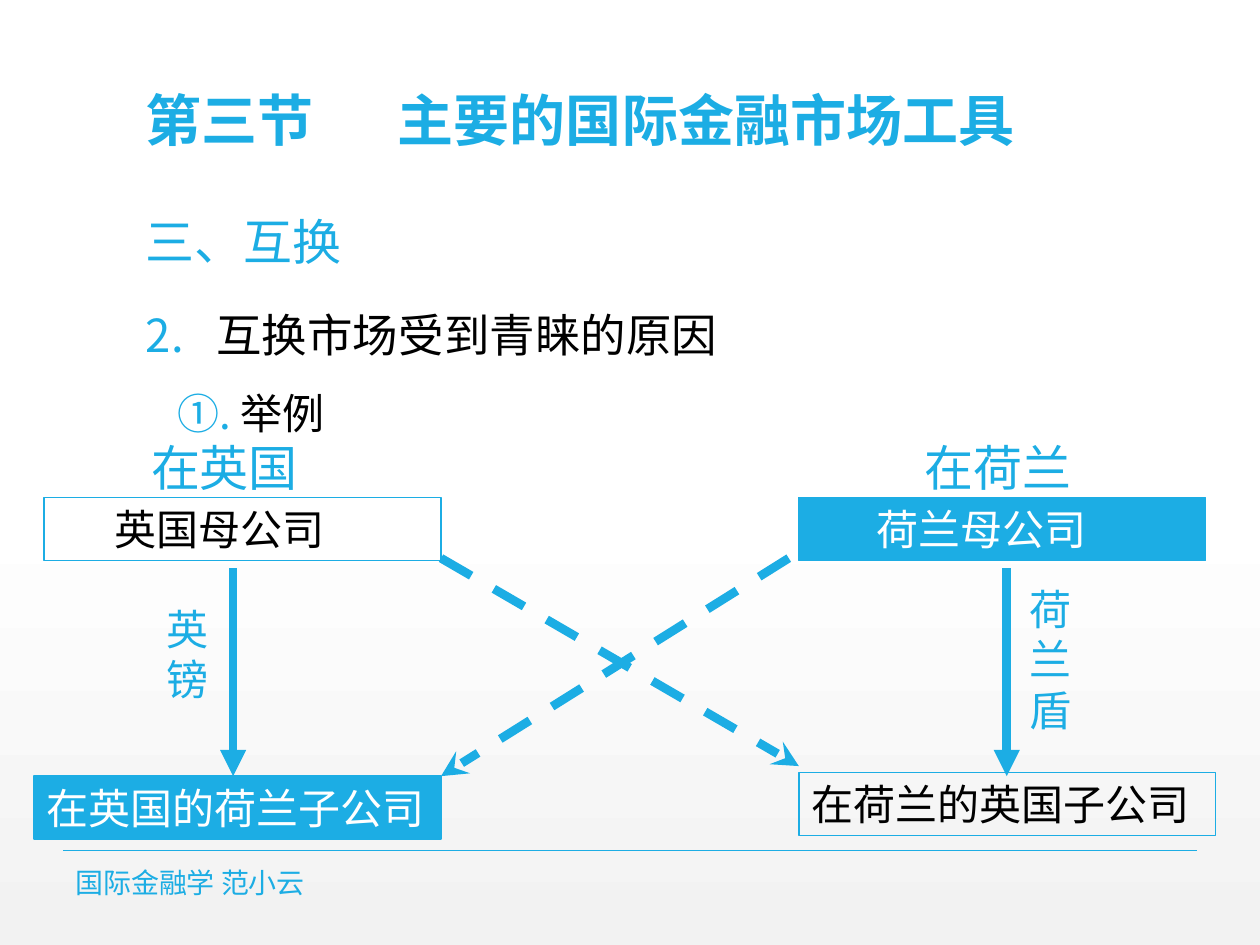
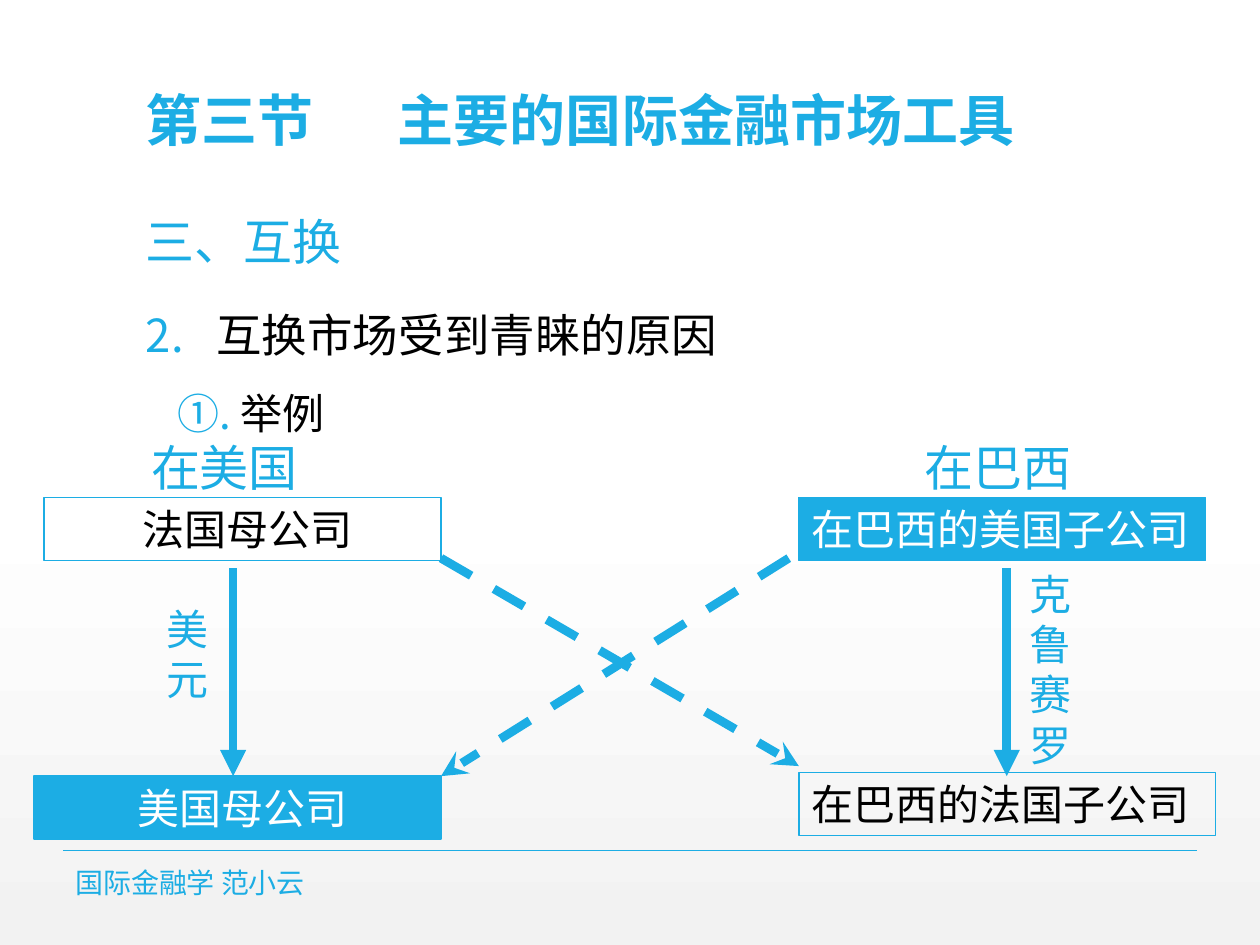
from dataclasses import dataclass

from lxml import etree
from pptx import Presentation
from pptx.dml.color import RGBColor
from pptx.enum.dml import MSO_LINE
from pptx.enum.shapes import MSO_CONNECTOR, MSO_SHAPE
from pptx.enum.text import MSO_ANCHOR, PP_ALIGN
from pptx.oxml.ns import qn
from pptx.util import Pt

TOP, MIDDLE, BOTTOM = MSO_ANCHOR.TOP, MSO_ANCHOR.MIDDLE, MSO_ANCHOR.BOTTOM
LEFT, CENTER = PP_ALIGN.LEFT, PP_ALIGN.CENTER
STRAIGHT, RECTANGLE, DASH = MSO_CONNECTOR.STRAIGHT, MSO_SHAPE.RECTANGLE, MSO_LINE.DASH
EMU_PER_PX = 9144  # 100 px to the inch


@dataclass(frozen=True)
class Theme:
    accent: str = "1CADE4"
    ink: str = "000000"
    white: str = "FFFFFF"
    shade: str = "F2F2F2"
    title_font: str = "Arial"
    body_font: str = "Noto Sans CJK SC"
    title: int = 32
    heading: int = 28
    point: int = 26
    label: int = 24
    footer: int = 16


def px(length):
    return length * EMU_PER_PX


def add_child(parent, tag, **attributes):
    return etree.SubElement(parent, qn(tag), attributes)


class Deck:
    def __init__(self, theme):
        self.theme = theme
        self.prs = Presentation()
        self.prs.slide_width, self.prs.slide_height = px(1000), px(750)
        self.slide = None

    def new_slide(self):
        self.slide = self.prs.slides.add_slide(self.prs.slide_layouts[6])
        fill = self.slide.background.fill
        fill.gradient()
        fill.gradient_angle = 270
        stops = zip(fill.gradient_stops, (0.53, 1), (self.theme.white, self.theme.shade))
        for stop, position, color in stops:
            stop.position = position
            stop.color.rgb = RGBColor.from_string(color)

    def add_text(self, paragraph, text, size, color, font=None, bold=False):
        run = paragraph.add_run()
        run.text = text
        run.font.size = Pt(size)
        run.font.bold = bold
        run.font.color.rgb = RGBColor.from_string(color)
        run.font.name = font or self.theme.body_font
        add_child(run._r.get_or_add_rPr(), "a:ea", typeface=self.theme.body_font)

    def text_box(self, x, y, width, height, anchor=TOP):
        box = self.slide.shapes.add_textbox(px(x), px(y), px(width), px(height))
        box.text_frame.word_wrap = True
        box.text_frame.vertical_anchor = anchor
        return box.text_frame

    def label(self, text, x, y, width, height, size, anchor=TOP):
        frame = self.text_box(x, y, width, height, anchor)
        self.add_text(frame.paragraphs[0], text, size, self.theme.accent)

    def title(self, section, topic):
        paragraph = self.text_box(106, 2, 788, 125, BOTTOM).paragraphs[0]
        tabs = add_child(paragraph._p.get_or_add_pPr(), "a:tabLst")
        add_child(tabs, "a:tab", pos=str(px(200)), algn="l")
        paragraph.line_spacing = 0.9
        self.add_text(paragraph, f"{section}\t{topic}", self.theme.title,
                      self.theme.accent, self.theme.title_font, True)

    def numbered(self, frame, text, size, scheme, start, margin, hanging, before):
        paragraph = frame.add_paragraph()
        properties = paragraph._p.get_or_add_pPr()
        properties.set("marL", str(px(margin)))
        properties.set("indent", str(-px(hanging)))
        add_child(add_child(properties, "a:buClr"), "a:srgbClr", val=self.theme.accent)
        add_child(properties, "a:buAutoNum", type=scheme, startAt=str(start))
        paragraph.line_spacing = 1.1
        paragraph.space_before = Pt(before)
        self.add_text(paragraph, text, size, self.theme.ink)

    def company(self, text, x, y, width, filled, anchor=MIDDLE, align=LEFT, indent=0):
        theme = self.theme
        box = self.slide.shapes.add_shape(RECTANGLE, px(x), px(y), px(width), px(50))
        box.shadow.inherit = False
        box.line.color.rgb = RGBColor.from_string(theme.accent)
        box.line.width = Pt(0.75)
        if filled:
            box.fill.solid()
            box.fill.fore_color.rgb = RGBColor.from_string(theme.accent)
        else:
            box.fill.background()
        frame = box.text_frame
        frame.word_wrap = True
        frame.vertical_anchor = anchor
        paragraph = frame.paragraphs[0]
        paragraph.alignment = align
        properties = paragraph._p.get_or_add_pPr()
        properties.set("marL", str(px(indent)))
        properties.set("indent", "0")
        self.add_text(paragraph, text, theme.label, theme.white if filled else theme.ink)

    def line(self, start, end, width, head=None, dashed=False):
        connector = self.slide.shapes.add_connector(
            STRAIGHT, *(px(value) for value in (*start, *end)))
        connector.line.color.rgb = RGBColor.from_string(self.theme.accent)
        connector.line.width = Pt(width)
        if dashed:
            connector.line.dash_style = DASH
        properties = connector._element.spPr
        if head:
            add_child(properties.find(qn("a:ln")), "a:tailEnd", type=head)
        add_child(properties, "a:effectLst")

    def frame(self):
        """Title, outline and footer found on every slide."""
        theme = self.theme
        self.line((50, 675), (950, 675), 1)
        self.title("第三节", "主要的国际金融市场工具")
        outline = self.text_box(106, 158, 788, 530)
        outline.paragraphs[0].line_spacing = 1.1
        self.add_text(outline.paragraphs[0], "三、互换", theme.heading, theme.accent)
        self.numbered(outline, "互换市场受到青睐的原因", theme.point,
                      "arabicPeriod", 2, 56, 56, 18)
        self.numbered(outline, "举例", theme.label, "circleNumDbPlain", 1, 75, 50, 12)
        self.label("国际金融学 范小云", 50, 688, 503, 24, theme.footer, MIDDLE)

    def swap(self, places, parents, subsidiaries, currencies):
        """Upper and lower companies in two countries, with the loans between them."""
        theme = self.theme
        # Countries
        for place, x in zip(places, (110, 724)):
            self.label(place, x, 342, 165, 57, theme.heading)
        # Companies: each is a name with its alignment and indent
        (left_top, right_top), (left_low, right_low) = parents, subsidiaries
        self.company(left_top[0], 35, 395, 315, False, MIDDLE, *left_top[1:])
        self.company(right_low[0], 634, 613, 331, False, MIDDLE, *right_low[1:])
        self.company(left_low[0], 27, 616, 323, True, MIDDLE, *left_low[1:])
        self.company(right_top[0], 634, 395, 323, True, MIDDLE, *right_top[1:])
        # Crossing ownership, then loans inside each country
        self.line((350, 443), (634, 608), 5, "stealth", dashed=True)
        self.line((626, 443), (350, 616), 5, "stealth", dashed=True)
        for x in (185, 799):
            self.line((x, 451), (x, 616), 5, "triangle")
        # Currencies, one character to a line
        for (currency, y), x in zip(currencies, (122, 807)):
            self.label(currency, x, y, 63, 10 + 40 * len(currency), theme.label)


SWAPS = [
    dict(places=("在英国", "在荷兰"),
         parents=(("英国母公司", LEFT, 46), ("荷兰母公司", LEFT, 52)),
         subsidiaries=(("在英国的荷兰子公司",), ("在荷兰的英国子公司",)),
         currencies=(("英镑", 474), ("荷兰盾", 458))),
    dict(places=("在美国", "在巴西"),
         parents=(("法国母公司", CENTER, 8), ("在巴西的美国子公司",)),
         subsidiaries=(("美国母公司", CENTER, 8), ("在巴西的法国子公司",)),
         currencies=(("美元", 474), ("克鲁赛罗", 446))),
]


def main():
    deck = Deck(Theme())
    for example in SWAPS:
        deck.new_slide()
        deck.frame()
        deck.swap(**example)
    deck.prs.save("out.pptx")


if __name__ == "__main__":
    main()
